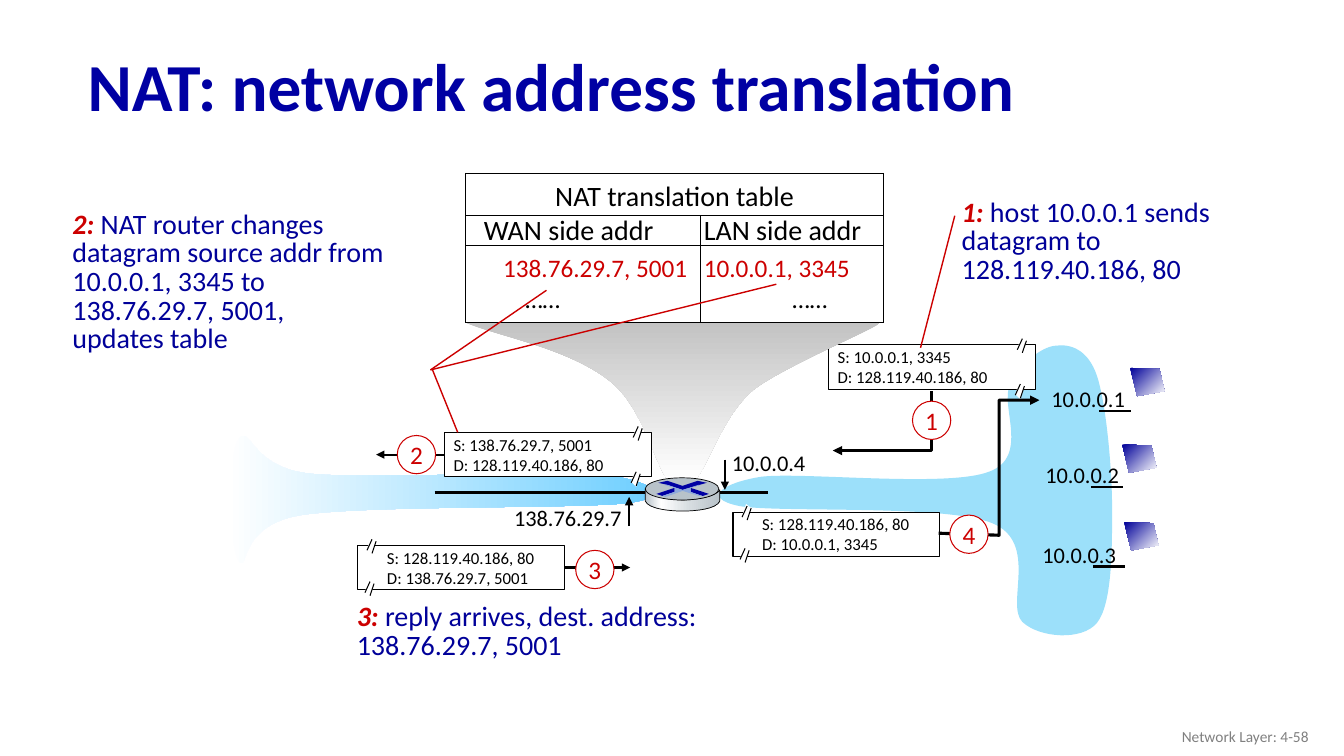
from dataclasses import dataclass
from lxml.etree import SubElement
from pptx import Presentation
from pptx.dml.color import RGBColor as RGB
from pptx.enum.shapes import MSO_CONNECTOR as CON, MSO_SHAPE as SHAPE
from pptx.enum.text import MSO_ANCHOR as ANCHOR, PP_ALIGN as ALIGN
from pptx.oxml.ns import qn
from pptx.util import Pt

PX = 9144  # EMU in one px, 100 px to the inch


@dataclass(frozen=True)
class Theme:
    font: str = "Calibri"
    black: str = "000000"
    white: str = "FFFFFF"
    gray: str = "808080"
    red: str = "CC0000"
    navy: str = "0000A3"
    blue: str = "000099"
    lan: str = "9CE0FA"
    wan: str = "66CCFF"
    funnel: str = "BFBFBF"
    steel: str = "B8C2C9"
    pale: str = "D6DCE0"
    gloss: str = "8FAADC"
    head: int = 48
    note: int = 20
    body: int = 18
    addr: int = 16
    small: int = 12
    foot: int = 11


T = Theme()

# Content: a path is its start, then lines (2 numbers) and curves (6 numbers)
TITLE = "NAT: network address translation"
FOOT = "Network Layer: 4-58"
WAN = [(598, 471), (545, 466, 368, 476, 308, 470), (248, 464, 249, 421, 237, 435),
       (225, 450, 227, 544, 237, 557), (247, 569, 235, 521, 299, 511),
       (363, 501, 573, 505, 623, 499), (673, 492, 641, 476, 598, 471)]
LAN = [(755, 473), (796, 468, 940, 484, 981, 468), (1022, 453, 991, 402, 1002, 381),
       (1013, 360, 1033, 344, 1047, 343), (1061, 341, 1079, 346, 1088, 373),
       (1097, 400, 1103, 464, 1103, 505), (1103, 546, 1103, 599, 1088, 618),
       (1073, 636, 1031, 633, 1014, 617), (997, 600, 1031, 538, 984, 519),
       (938, 500, 771, 509, 733, 502), (695, 494, 717, 479, 755, 473)]
FUNNEL = [(462, 320), (462, 320, 823, 309, 871, 320), (885, 319, 777, 363, 747, 387),
          (717, 412, 702, 463, 689, 477), (663, 477), (649, 460, 638, 404, 605, 378),
          (563, 345, 495, 334, 462, 320)]
RIM = [(714, 486), (714, 497), (711, 505, 690, 507, 677, 507), (665, 507, 643, 505, 640, 497),
       (640, 485), (644, 492, 665, 496, 677, 496), (689, 496, 710, 493, 714, 486)]
GLOSS = [(659, 481), (662, 481), (677, 486), (693, 481), (695, 481), (685, 484), (685, 488),
         (696, 492), (693, 492), (677, 487), (660, 493), (657, 492), (669, 488), (669, 484)]
CROSS = [
    [(692, 477), (701, 479), (694, 481), (677, 486), (662, 481), (653, 479), (662, 477), (677, 482)],
    [(685, 484), (703, 490), (697, 492), (685, 488)],
    [(669, 484), (669, 488), (657, 492), (651, 490)],
]
SCREEN = [(0, 0), (29, 1), (34, 23), (7, 28)]
BREAK = [(4, 0), (0, 12), (5, 17), (9, 4)]
STROKES = [(5, 2, 0, 13), (9, 4, 5, 16)]
TABLE = dict(at=(462, 172), cols=(233, 181), rows=(42, 30, 76))
# Row, column, text, colours and left indents of the paragraphs, size, top margin
CELLS = [
    (0, 0, "NAT translation table", T.black, 0, T.note, 4),
    (1, 0, "WAN side addr", T.black, 18, T.note, 1),
    (1, 1, "LAN side addr", T.black, 3, T.note, 1),
    (2, 0, "138.76.29.7, 5001\n……", (T.red, T.black), (37, 59), T.body, 0),
    (2, 1, "10.0.0.1, 3345\n……", (T.red, T.black), (3, 91), T.body, 0),
]
PACKETS = {  # place, side of the break marks, text
    1: (822, 342, "right", "S: 10.0.0.1, 3345\nD: 128.119.40.186, 80"),
    2: (441, 429, "right", "S: 138.76.29.7, 5001\nD: 128.119.40.186, 80"),
    3: (355, 541, "left", "S: 128.119.40.186, 80\nD: 138.76.29.7, 5001"),
    4: (727, 508, "left", "S: 128.119.40.186, 80\nD: 10.0.0.1, 3345"),
}
SIDES = {  # text shift, then upper and lower break mark
    "right": (-1, (187, -8), (185, 37)),
    "left": (19, (9, -8), (7, 34)),
}
BADGES = {1: (905, 398), 2: (394, 432), 3: (571, 546), 4: (942, 511)}
ELBOWS = {1: [(826, 447), (924, 447), (924, 388)],
          4: [(1031, 397), (991, 397), (991, 531), (931, 529)]}
NOTES = {
    1: ((944, 193, 336, 96), "host 10.0.0.1 sends datagram to 128.119.40.186, 80"),
    2: ((62, 205, 345, 153),
        "NAT router changes datagram source addr from 10.0.0.1, 3345 to 138.76.29.7, 5001,\nupdates table"),
    3: ((344, 594, 389, 68), "reply arrives, dest. address: 138.76.29.7, 5001"),
}
LEADS = {1: [(947, 214, 913, 345)],
         2: [(429, 367, 454, 429), (427, 367, 542, 288), (427, 367, 770, 282)]}
PORTS = [("10.0.0.4", (716, 441, 94, 37), (719, 456, 719, 486)),
         ("138.76.29.7", (500, 495, 128, 37), (624, 522, 624, 493))]
HOSTS = [("10.0.0.1", (1033, 377), (1121, 365), (1090, 408)),
         ("10.0.0.2", (1027, 453), (1113, 441), (1082, 483)),
         ("10.0.0.3", (1024, 532), (1115, 518), (1084, 562))]

deck = Presentation()
deck.slide_width, deck.slide_height = 1333 * PX, 750 * PX
page = deck.slides.add_slide(deck.slide_layouts[5])
shapes = page.shapes


def emu(*vals):
    return [v * PX for v in vals]


def put(frame, text, size=T.body, color=T.black, bold=False, lead="", align=ALIGN.LEFT,
        gap=None, indent=0):
    for i, part in enumerate(text.split("\n")):
        para = frame.paragraphs[0] if i == 0 else frame.add_paragraph()
        para.alignment, para.line_spacing = align, gap
        shift = indent[i] if isinstance(indent, tuple) else indent
        if shift:
            para._p.get_or_add_pPr().set("marL", str(shift * PX))
        tone = color[i] if isinstance(color, tuple) else color
        runs = [(lead, T.red, True, True)] if lead and i == 0 else []
        for words, hue, heavy, slant in runs + [(part, tone, bold, False)]:
            run = para.add_run()
            run.text = words
            font = run.font
            font.name, font.size, font.bold, font.italic = T.font, Pt(size), heavy, slant
            font.color.rgb = RGB.from_string(hue)


def label(at, text, wrap=True, anchor=ANCHOR.TOP, **fmt):
    frame = shapes.add_textbox(*emu(*at)).text_frame
    frame.word_wrap, frame.vertical_anchor = wrap, anchor
    put(frame, text, **fmt)


def paint(shape, fill=None, line=None, width=0.75, angle=0):
    shape.shadow.inherit = False
    if isinstance(fill, list):
        shape.fill.gradient()
        grad = shape._element.spPr.find(qn("a:gradFill"))
        stops = grad.find(qn("a:gsLst"))
        stops.clear()
        for pos, hue in fill:
            stop = SubElement(stops, qn("a:gs"), pos=str(pos * 1000))
            SubElement(stop, qn("a:srgbClr"), val=hue)
        grad.find(qn("a:lin")).set("ang", str(angle * 60000))
    elif fill:
        shape.fill.solid()
        shape.fill.fore_color.rgb = RGB.from_string(fill)
    else:
        shape.fill.background()
    if line:
        shape.line.color.rgb, shape.line.width = RGB.from_string(line), Pt(width)
    else:
        shape.line.fill.background()
    return shape


def arrow(shape, end):
    SubElement(shape._element.spPr.find(qn("a:ln")), qn(end), type="triangle")


def trace(path, at=(0, 0), close=True, **look):
    flat = [n for seg in path for n in seg]
    pts = [emu(x + at[0], y + at[1]) for x, y in zip(flat[::2], flat[1::2])]
    pen = shapes.build_freeform(*pts[0], scale=1.0)
    pen.add_line_segments(pts[1:], close=close)
    shape = pen.convert_to_shape()
    # Join each three points of a curve into one Bezier segment
    steps = iter(list(shape._element.spPr.iter(qn("a:lnTo"))))
    for seg in path[1:]:
        step = next(steps)
        if len(seg) == 6:
            step.tag = qn("a:cubicBezTo")
            for extra in (next(steps), next(steps)):
                step.append(extra[0])
                extra.getparent().remove(extra)
    return paint(shape, **look)


def rule(at, color=T.black, width=0.75, tip=False):
    line = shapes.add_connector(CON.STRAIGHT, *emu(*at))
    line.line.color.rgb, line.line.width = RGB.from_string(color), Pt(width)
    if tip:
        arrow(line, "a:tailEnd")
    SubElement(line._element.spPr, qn("a:effectLst"))
    return line


def packet(num):
    x, y, side, text = PACKETS[num]
    shift, *marks = SIDES[side]
    box = paint(shapes.add_shape(SHAPE.RECTANGLE, *emu(x, y, 205, 44)), T.white, T.black)
    label((x + shift, y - 3, 193, 50), text, size=T.small)
    for dx, dy in marks:
        mx, my = x + dx, y + dy
        trace(BREAK, (mx, my), fill=T.white)
        for a, b, c, d in STROKES:
            rule((mx + a, my + b, mx + c, my + d))
    if num in ELBOWS:
        arrow(trace(ELBOWS[num], close=False, line=T.black, width=2.25), "a:headEnd")
    else:
        start, end, spot = (x, 373, 1) if num == 2 else (x + 205, 625, 3)
        rule((start, y + 22, end, y + 22), width=1.5, tip=True).begin_connect(box, spot)
    badge = paint(shapes.add_shape(SHAPE.OVAL, *emu(*BADGES[num], 38, 38)), T.white, T.red)
    frame = badge.text_frame
    frame.margin_left = frame.margin_right = frame.margin_top = frame.margin_bottom = 0
    frame.vertical_anchor = ANCHOR.MIDDLE
    put(frame, str(num), color=T.red, align=ALIGN.CENTER)


def note(num):
    at, text = NOTES[num]
    label(at, text, size=T.note, color=T.blue, lead=f"{num}: ", gap=0.85)
    for lead in LEADS.get(num, []):
        rule(lead, T.red, 1)


def grid():
    cols, rows = TABLE["cols"], TABLE["rows"]
    size = (sum(cols), sum(rows))
    table = shapes.add_table(len(rows), len(cols), *emu(*TABLE["at"], *size)).table
    table.first_row = table.horz_banding = False
    for col, wide in zip(table.columns, cols):
        col.width = wide * PX
    for row, tall in zip(table.rows, rows):
        row.height = tall * PX
    table.cell(0, 0).merge(table.cell(0, 1))
    for cell in table.iter_cells():
        cell.margin_left = cell.margin_right = cell.margin_top = cell.margin_bottom = 0
        cell.vertical_anchor = ANCHOR.MIDDLE
        for edge in ("a:lnL", "a:lnR", "a:lnT", "a:lnB"):
            line = SubElement(cell._tc.get_or_add_tcPr(), qn(edge), w=str(Pt(0.75)))
            SubElement(SubElement(line, qn("a:solidFill")), qn("a:srgbClr"), val=T.black)
        cell.fill.solid()
        cell.fill.fore_color.rgb = RGB.from_string(T.white)
    for r, c, text, color, indent, size, top in CELLS:
        cell = table.cell(r, c)
        cell.margin_top = top * PX
        put(cell.text_frame, text, size=size, color=color, indent=indent,
            align=ALIGN.LEFT if r else ALIGN.CENTER, gap=0.85 if r == 1 else None)


# Title and footer
head = shapes.title
head.left, head.top, head.width, head.height = emu(77, 31, 1150, 117)
head.text_frame.vertical_anchor = ANCHOR.MIDDLE
put(head.text_frame, TITLE, size=T.head, color=T.navy, bold=True, gap=0.9)
label((1008, 711, 300, 40), FOOT, anchor=ANCHOR.MIDDLE, size=T.foot, color=T.gray, align=ALIGN.RIGHT)

# Networks and the first step
trace(WAN, fill=[(0, T.white), (100, T.wan)])
trace(LAN, fill=T.lan)
packet(1)
for name, at, tip in PORTS:
    label(at, name, wrap=False, size=T.addr)
note(1)

# Translation table
trace(FUNNEL, fill=[(0, T.funnel), (100, T.white)], angle=90)
grid()

# Remaining steps
for num in (4, 2, 3):
    packet(num)
    if num in (2, 3):
        note(num)

# Hosts
for name, at, screen, base in HOSTS:
    label((*at, 94, 37), name, wrap=False, size=T.addr)
    trace(SCREEN, screen, fill=[(0, T.blue), (100, T.white)], angle=45)
    rule((*base, base[0] + 32, base[1]), width=1.5)

# Router
rule((431, 489, 762, 489), width=2)
trace(RIM, fill=[(0, T.steel), (21, T.white), (60, T.pale), (100, T.steel)], line=T.black, width=0.5)
paint(shapes.add_shape(SHAPE.OVAL, *emu(640, 474, 73, 22)), T.steel, T.black, 0.5)
for part in CROSS:
    trace(part, fill=T.navy)
trace(GLOSS, fill=T.gloss)
for name, at, tip in PORTS:
    rule(tip, width=1.5, tip=True)

deck.save("out.pptx")
